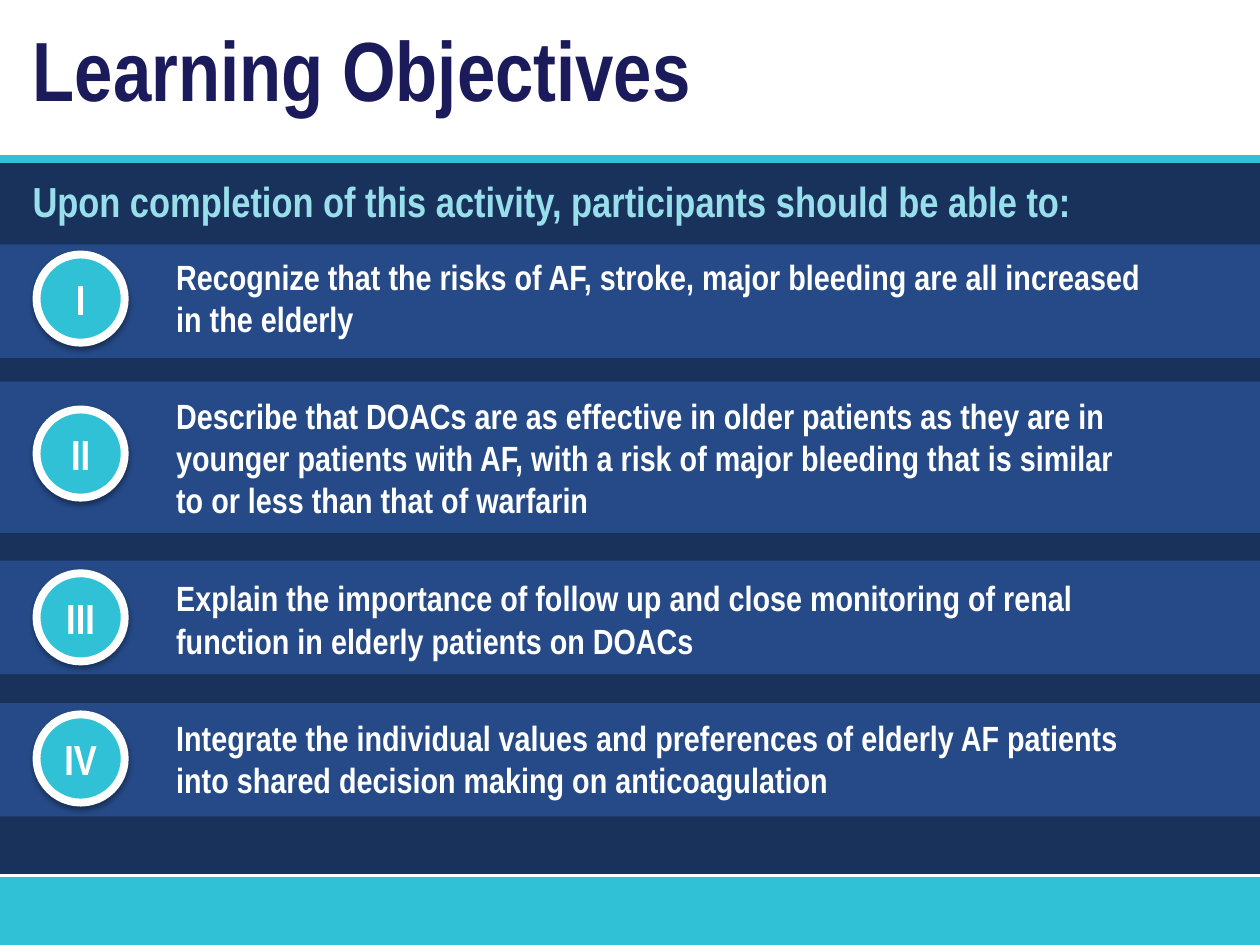
from pptx import Presentation, util as u
from pptx.dml.color import RGBColor
from pptx.enum import shapes, text
from lxml import etree

PX = 9144  # EMU per px, 100 px to the inch
WIDTH, HEIGHT = 1000, 750
THEME = {
    "font": "Arial Narrow",
    "navy": "19325C", "band": "254A87", "teal": "30C1D7",
    "white": "FFFFFF", "title": "1B1A5A", "lead": "99DFEB",
    "title_size": 48, "lead_size": 24, "badge_size": 24, "item_size": 20,
}
TITLE = "Learning Objectives"
LEAD = "Upon completion of this activity, participants should be able to:"
# numeral, wording, band top, band height, badge top, text top, text width
OBJECTIVES = [
    ("I", "Recognize that the risks of AF, stroke, major bleeding are all "
     "increased in the elderly", 194, 90, 202, 198, 791),
    ("II", "Describe that DOACs are as effective in older patients as they are "
     "in younger patients with AF, with a risk of major bleeding that is "
     "similar to or less than that of warfarin", 303, 120, 325, 308, 765),
    ("III", "Explain the importance of follow up and close monitoring of renal "
     "function in elderly patients on DOACs", 445, 90, 455, 453, 791),
    ("IV", "Integrate the individual values and preferences of elderly AF "
     "patients into shared decision making on anticoagulation",
     558, 90, 567, 564, 791),
]
BADGE_LEFT, BADGE_SIZE, TEXT_LEFT = 29, 70, 130
PANEL_TOP, FOOTER_TOP = 126, 696
DRAWING = "http://schemas.openxmlformats.org/drawingml/2006/main"


def emu(*lengths):
    return [u.Emu(length * PX) for length in lengths]


def colour(name):
    return RGBColor.from_string(THEME[name])


def add_effects(shape, shadow=False):
    """Replace the inherited effects with none, or with a soft drop shadow."""
    effects = etree.SubElement(shape._element.spPr, f"{{{DRAWING}}}effectLst")
    if shadow:
        outer = etree.SubElement(effects, f"{{{DRAWING}}}outerShdw",
                                 blurRad="39370", dist="22860", dir="5400000",
                                 rotWithShape="0")
        black = etree.SubElement(outer, f"{{{DRAWING}}}srgbClr", val="000000")
        etree.SubElement(black, f"{{{DRAWING}}}alpha", val="35000")


def add_filled(slide, kind, place, fill, outline=None, shadow=False):
    shape = slide.shapes.add_shape(kind, *emu(*place))
    shape.fill.solid()
    shape.fill.fore_color.rgb = colour(fill)
    if outline:
        shape.line.color.rgb = colour(outline)
        shape.line.width = u.Pt(4.5)
    else:
        shape.line.fill.background()
    add_effects(shape, shadow)
    return shape


def add_rule(slide, top, name, weight):
    rule = slide.shapes.add_connector(shapes.MSO_CONNECTOR.STRAIGHT,
                                      *emu(0, top, WIDTH, top))
    rule.line.color.rgb = colour(name)
    rule.line.width = u.Pt(weight)
    add_effects(rule)


def write(shape, wording, size, name, align=text.PP_ALIGN.LEFT,
          anchor=text.MSO_ANCHOR.TOP):
    frame = shape.text_frame
    frame.text = wording
    frame.word_wrap = True
    frame.auto_size = text.MSO_AUTO_SIZE.NONE
    frame.vertical_anchor = anchor
    para = frame.paragraphs[0]
    para.alignment = align
    font = para.runs[0].font
    font.name, font.size, font.bold = THEME["font"], u.Pt(THEME[size]), True
    font.color.rgb = colour(name)


def add_text(slide, place, wording, size, name):
    write(slide.shapes.add_textbox(*emu(*place)), wording, size, name)


def add_objective(slide, numeral, wording, band_top, band_height, badge_top,
                  text_top, text_width):
    add_filled(slide, shapes.MSO_SHAPE.RECTANGLE,
               (0, band_top, WIDTH, band_height), "band")
    badge = add_filled(slide, shapes.MSO_SHAPE.FLOWCHART_CONNECTOR,
                       (BADGE_LEFT, badge_top, BADGE_SIZE, BADGE_SIZE),
                       "teal", outline="white", shadow=True)
    write(badge, numeral, "badge_size", "white",
          text.PP_ALIGN.CENTER, text.MSO_ANCHOR.MIDDLE)
    badge.text_frame.margin_left = badge.text_frame.margin_right = 0
    add_text(slide, (TEXT_LEFT, text_top, text_width, band_height - 11),
             wording, "item_size", "white")


def main():
    deck = Presentation()
    deck.slide_width, deck.slide_height = emu(WIDTH, HEIGHT)
    slide = deck.slides.add_slide(deck.slide_layouts[5])

    title = slide.shapes.title
    title.left, title.top, title.width, title.height = emu(16, 9, 882, 91)
    write(title, TITLE, "title_size", "title")

    add_filled(slide, shapes.MSO_SHAPE.RECTANGLE,
               (0, PANEL_TOP, WIDTH, FOOTER_TOP - PANEL_TOP), "navy")
    add_filled(slide, shapes.MSO_SHAPE.RECTANGLE,
               (0, FOOTER_TOP, WIDTH, HEIGHT - FOOTER_TOP), "teal", shadow=True)
    add_rule(slide, PANEL_TOP, "teal", 4.5)
    add_rule(slide, FOOTER_TOP - 1, "white", 1.5)
    add_text(slide, (16, 134, 949, 60), LEAD, "lead_size", "lead")
    for objective in OBJECTIVES:
        add_objective(slide, *objective)
    deck.save("out.pptx")


if __name__ == "__main__":
    main()
